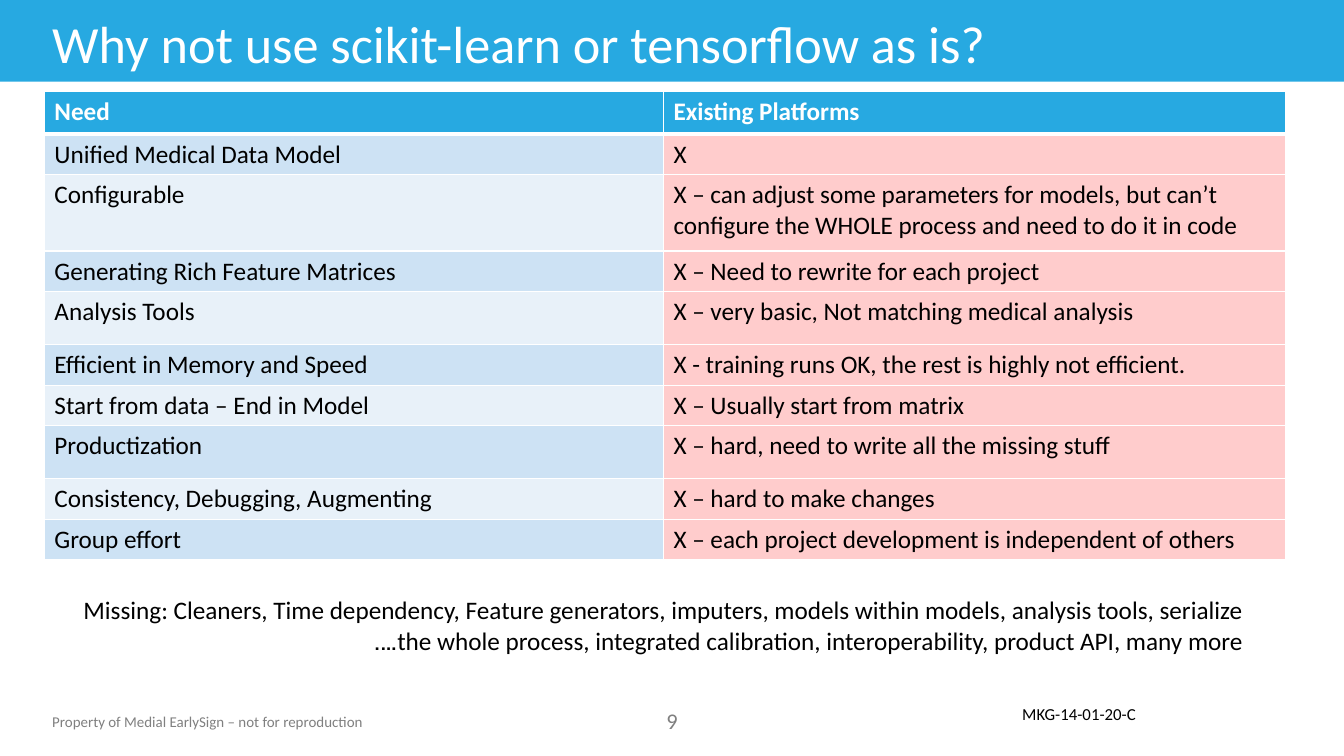
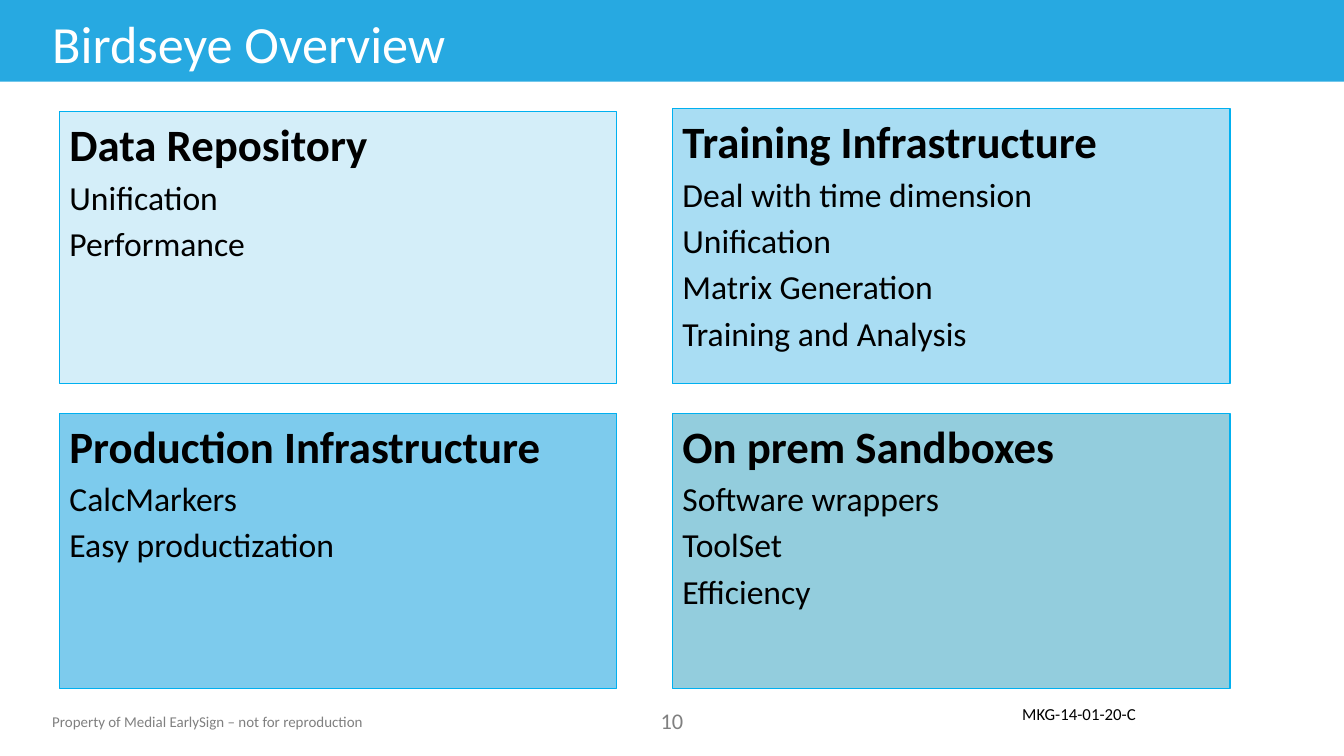
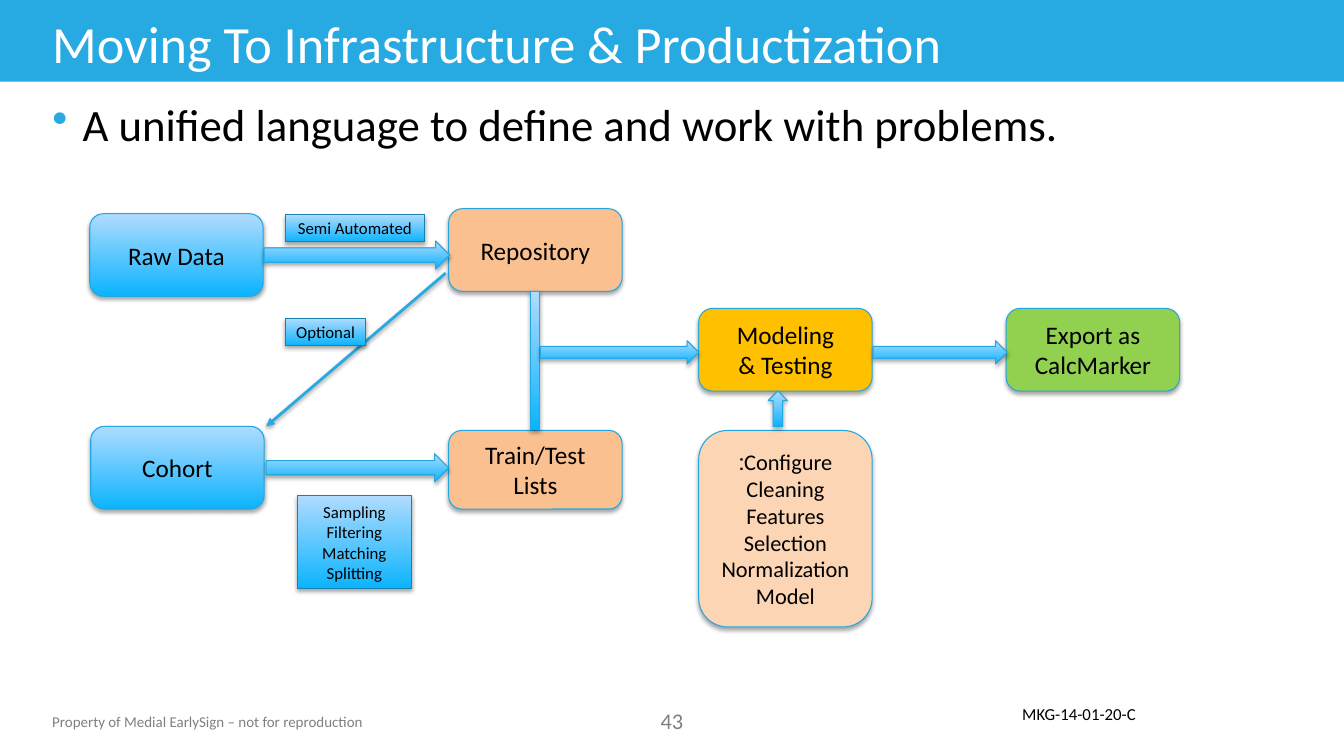
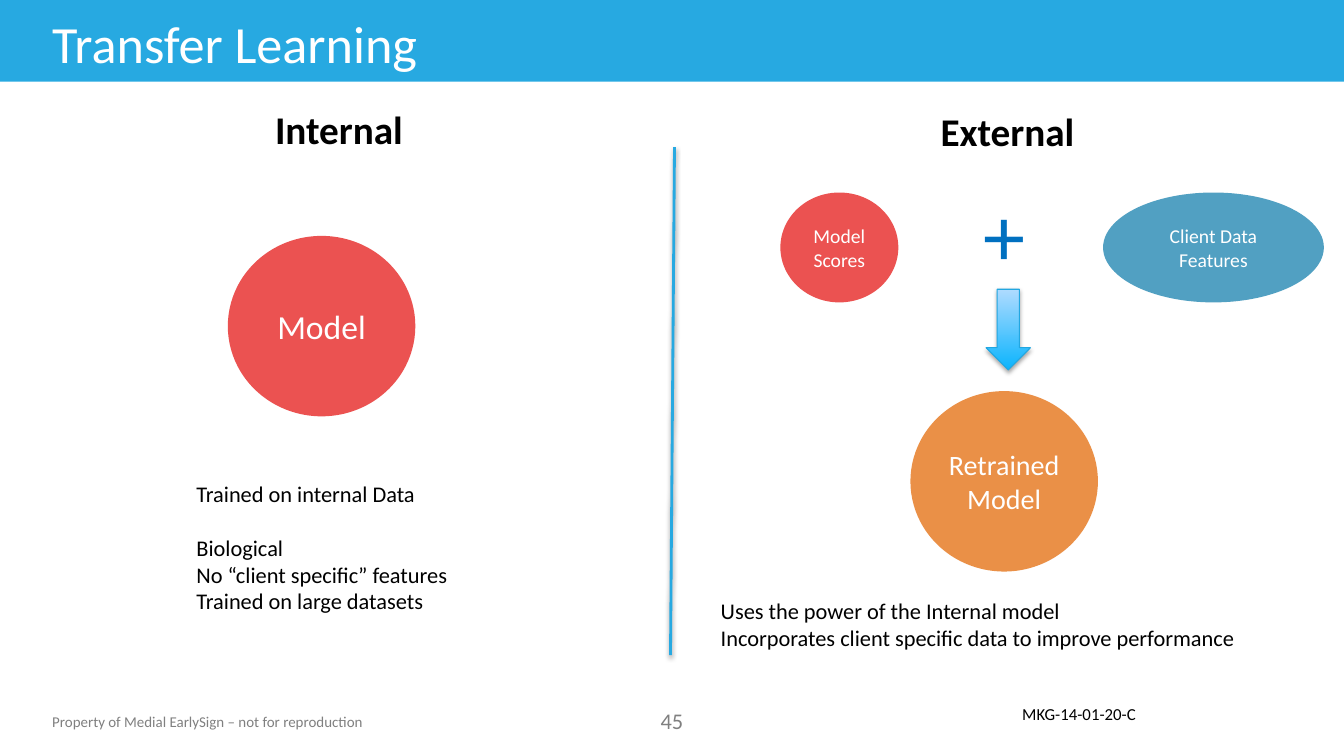
import dataclasses

import lxml.etree
import pptx
import pptx.dml.color
import pptx.enum.shapes
import pptx.enum.text
import pptx.oxml.ns
import pptx.util

Inches = pptx.util.Inches
Pt = pptx.util.Pt
qn = pptx.oxml.ns.qn
SHAPE = pptx.enum.shapes.MSO_SHAPE
ALIGN = pptx.enum.text.PP_ALIGN
ANCHOR = pptx.enum.text.MSO_ANCHOR


@dataclasses.dataclass(frozen=True)
class Theme:
    font: str = "Calibri"
    # Colours
    accent: str = "27A9E1"
    outline: str = "22A7E1"
    label_outline: str = "1881AE"
    card_outline: str = "00B0F0"
    white: str = "FFFFFF"
    black: str = "000000"
    grey: str = "808080"
    gradient: tuple = ("0BB4FD", "AFDBFF")
    row_fills: tuple = ("CDE2F4", "E8F1F9")
    card_fills: tuple = ("A9DDF3", "D4EEF9", "7DCBED", "93CDDD")
    problem: str = "FF0000"
    data: str = "FAC090"
    modeling: str = "FFC000"
    settings: str = "FCD5B5"
    export: str = "92D050"
    model: str = "E51917"
    client: str = "1881AE"
    retrained: str = "E46C0A"
    plus: str = "0070C0"
    # Type sizes
    title: float = 37.3
    heading: float = 32
    subheading: float = 28
    large: float = 24
    medium: float = 20
    body: float = 18
    note: float = 16
    small: float = 14
    label: float = 12
    footer: float = 10.7
    symbol: float = 60


THEME = Theme()


def rgb(value):
    return pptx.dml.color.RGBColor.from_string(value)


def add_xml(parent, tag, **attributes):
    child = lxml.etree.SubElement(parent, qn(tag))
    for name, value in attributes.items():
        child.set(name, str(value))
    return child


def set_alpha(properties, percent):
    color = properties.find(qn("a:solidFill")).find(qn("a:srgbClr"))
    add_xml(color, "a:alpha", val=percent * 1000)


def set_right_to_left(paragraph):
    paragraph._p.get_or_add_pPr().set("rtl", "1")


class DeckBuilder:
    def __init__(self, theme):
        self.theme = theme
        self.deck = pptx.Presentation()
        self.deck.slide_width = Inches(13.33)
        self.deck.slide_height = Inches(7.5)
        self.page = None

    def new_page(self, title, number):
        """Start a slide with its title band and footer."""
        theme = self.theme
        self.page = self.deck.slides.add_slide(self.deck.slide_layouts[6])
        self.shape(SHAPE.RECTANGLE, (0, -0.01, 13.33, 0.82), theme.accent)
        self.text((0.42, 7.02, 3.33, 0.28), "Property of Medial EarlySign – not for reproduction",
                  theme.footer, theme.grey)
        self.text((6.26, 6.97, 0.81, 0.37), str(number), theme.note, theme.grey, align=ALIGN.CENTER)
        self.text((10.04, 6.93, 1.38, 0.3), "MKG-14-01-20-C", theme.label)
        self.text((0.42, 0.06, 11.1, 0.73), title, theme.title, theme.white, anchor=ANCHOR.MIDDLE)

    def set_text(self, frame, text, size, color=None, bold=False, align=ALIGN.LEFT):
        frame.text = text
        frame.word_wrap = True
        for paragraph in frame.paragraphs:
            paragraph.alignment = align
            for span in paragraph.runs:
                self.style(span.font, size, color, bold)

    def style(self, font, size, color=None, bold=False):
        font.name = self.theme.font
        font.size = Pt(size)
        font.bold = bold
        font.color.rgb = rgb(color or self.theme.black)

    def text(self, at, text, size, color=None, bold=False, align=ALIGN.LEFT, anchor=ANCHOR.TOP):
        box = self.page.shapes.add_textbox(*map(Inches, at))
        self.set_text(box.text_frame, text, size, color, bold, align)
        box.text_frame.vertical_anchor = anchor
        return box

    def bullet(self, at, text, size):
        box = self.text(at, text, size)
        properties = box.text_frame.paragraphs[0]._p.get_or_add_pPr()
        properties.set("marL", str(Inches(0.3)))
        properties.set("indent", str(Inches(-0.3)))
        add_xml(add_xml(properties, "a:buClr"), "a:srgbClr", val=self.theme.accent)
        add_xml(properties, "a:buChar", char="•")

    def shape(self, kind, at, fill=None, line=None, shadow=False):
        """Add a preset shape; without a fill colour it takes the theme gradient."""
        shape = self.page.shapes.add_shape(kind, *map(Inches, at))
        shape.shadow.inherit = False
        if fill:
            shape.fill.solid()
            shape.fill.fore_color.rgb = rgb(fill)
        else:
            shape.fill.gradient()
            shape.fill.gradient_angle = 90
            for stop, color in zip(shape.fill.gradient_stops, self.theme.gradient):
                stop.color.rgb = rgb(color)
        if line:
            shape.line.color.rgb = rgb(line)
            shape.line.width = Pt(0.75)
        else:
            shape.line.fill.background()
        if shadow:
            self.shadow(shape._element.spPr.find(qn("a:effectLst")), 1.8, 35)
        return shape

    def shadow(self, effects, distance, alpha):
        outer = add_xml(effects, "a:outerShdw", blurRad=Pt(3.1), dist=Pt(distance),
                        dir=5400000, rotWithShape=0)
        color = add_xml(outer, "a:srgbClr", val=self.theme.black)
        add_xml(color, "a:alpha", val=alpha * 1000)

    def node(self, at, text, fill=None, size=None):
        node = self.shape(SHAPE.ROUNDED_RECTANGLE, at, fill, self.theme.outline, shadow=True)
        self.set_text(node.text_frame, text, size or self.theme.body, align=ALIGN.CENTER)
        return node

    def label(self, at, text):
        label = self.shape(SHAPE.RECTANGLE, at, None, self.theme.label_outline, shadow=True)
        frame = label.text_frame
        frame.margin_left = frame.margin_right = Inches(0.05)
        self.set_text(frame, text, self.theme.label, align=ALIGN.CENTER)

    def arrow(self, kind, at):
        self.shape(kind, at, None, self.theme.outline, shadow=True)

    def circle(self, at, text, fill, size):
        circle = self.shape(SHAPE.OVAL, at, fill)
        set_alpha(circle._element.spPr, 75)
        self.set_text(circle.text_frame, text, size, self.theme.white, align=ALIGN.CENTER)

    def line(self, start, end, arrow=False):
        line = self.page.shapes.add_connector(
            pptx.enum.shapes.MSO_CONNECTOR.STRAIGHT, *map(Inches, start + end))
        line.line.color.rgb = rgb(self.theme.accent)
        line.line.width = Pt(2)
        properties = line._element.spPr
        if arrow:
            add_xml(properties.find(qn("a:ln")), "a:tailEnd", type="triangle")
        self.shadow(add_xml(properties, "a:effectLst"), 1.6, 38)

    def card(self, at, heading, items, fill):
        card = self.shape(SHAPE.RECTANGLE, at, fill, self.theme.card_outline)
        frame = card.text_frame
        frame.vertical_anchor = ANCHOR.TOP
        self.set_text(frame, "\n".join([heading, *items]), self.theme.large)
        self.style(frame.paragraphs[0].runs[0].font, self.theme.heading, bold=True)
        for paragraph in frame.paragraphs[1:]:
            paragraph.space_before = Pt(4.3)

    def cell(self, cell, text, fill, color, bold, top=1, bottom=1):
        self.set_text(cell.text_frame, text, self.theme.body, color, bold)
        cell.fill.solid()
        cell.fill.fore_color.rgb = rgb(fill)
        properties = cell._tc.get_or_add_tcPr()
        if fill == self.theme.problem:
            set_alpha(properties, 20)
        # Borders come before the fill
        widths = {"a:lnL": 1, "a:lnR": 1, "a:lnT": top, "a:lnB": bottom}
        for index, (tag, width) in enumerate(widths.items()):
            border = add_xml(properties, tag, w=Pt(width))
            add_xml(add_xml(border, "a:solidFill"), "a:srgbClr", val=self.theme.white)
            properties.insert(index, border)

    def table(self, at, widths, heights, rows):
        theme = self.theme
        table = self.page.shapes.add_table(len(rows), len(widths), *map(Inches, at)).table
        for column, width in zip(table.columns, widths):
            column.width = Inches(width)
        for index, (height, texts) in enumerate(zip(heights, rows)):
            table.rows[index].height = Inches(height)
            header = index == 0
            fills = (theme.accent,) * 2 if header else (theme.row_fills[(index - 1) % 2], theme.problem)
            for column, (text, fill) in enumerate(zip(texts, fills)):
                self.cell(table.cell(index, column), text, fill,
                          theme.white if header else theme.black, header,
                          top=3 if index == 1 else 1, bottom=3 if header else 1)


def platforms_page(deck):
    deck.new_page("Why not use scikit-learn or tensorflow as is?", 9)
    rows = [
        ("Need", "Existing Platforms"),
        ("Unified Medical Data Model", "X"),
        ("Configurable", "X – can adjust some parameters for models, but can’t configure "
                         "the WHOLE process and need to do it in code"),
        ("Generating Rich Feature Matrices", "X – Need to rewrite for each project"),
        ("Analysis Tools", "X – very basic, Not matching medical analysis"),
        ("Efficient in Memory and Speed", "X - training runs OK, the rest is highly not efficient."),
        ("Start from data – End in Model", "X – Usually start from matrix"),
        ("Productization", "X – hard, need to write all the missing stuff"),
        ("Consistency, Debugging, Augmenting", "X – hard to make changes"),
        ("Group effort", "X – each project development is independent of others"),
    ]
    heights = [0.42, 0.4, 0.76, 0.4, 0.53, 0.4, 0.4, 0.53, 0.4, 0.4]
    deck.table((0.44, 0.91, 12.31, 4.71), (6.14, 6.17), heights, rows)
    missing = deck.text(
        (0.44, 5.85, 11.99, 0.71),
        "Missing: Cleaners, Time dependency, Feature generators, imputers, models within models, "
        "analysis tools, serialize the whole process, integrated calibration, interoperability, "
        "product API, many more….", THEME.body, align=ALIGN.RIGHT)
    # The alignment of a right-to-left paragraph is mirrored
    set_right_to_left(missing.text_frame.paragraphs[0])


def overview_page(deck):
    deck.new_page("Birdseye Overview", 10)
    left, right, width = 0.59, 6.67, 5.53
    cards = [
        ((right, 1.08, width, 2.73), "Training Infrastructure",
         ["Deal with time dimension", "Unification", "Matrix Generation", "Training and Analysis"]),
        ((left, 1.11, width, 2.7), "Data Repository", ["Unification", "Performance"]),
        ((left, 4.1, width, 2.73), "Production Infrastructure",
         ["CalcMarkers", "Easy productization"]),
        ((right, 4.1, width, 2.73), "On prem Sandboxes",
         ["Software wrappers", "ToolSet", "Efficiency"]),
    ]
    for (at, heading, items), fill in zip(cards, THEME.card_fills):
        deck.card(at, heading, items, fill)


def pipeline_page(deck):
    deck.new_page("Moving To Infrastructure & Productization", 43)
    deck.bullet((0.42, 0.91, 11.81, 0.79), "A unified language to define and work with problems.",
                THEME.heading)
    width, height = 1.72, 0.82
    # Sources and data sets
    deck.node((0.89, 2.12, width, height), "Raw Data")
    deck.node((4.45, 2.07, width, height), "Repository", THEME.data)
    deck.node((0.9, 4.23, width, height), "Cohort")
    deck.line((4.42, 2.71), (2.64, 4.23), arrow=True)
    deck.node((4.45, 4.27, width, 0.78), "Train/Test Lists", THEME.data)
    deck.label((2.83, 2.13, 1.38, 0.27), "Semi Automated")
    deck.label((2.83, 3.16, 0.8, 0.27), "Optional")
    deck.label((2.95, 4.92, 1.13, 0.92), "Sampling\nFiltering\nMatching\nSplitting")
    deck.arrow(SHAPE.RIGHT_ARROW, (2.62, 2.39, 1.84, 0.28))
    deck.arrow(SHAPE.RIGHT_ARROW, (2.64, 4.5, 1.81, 0.28))
    # Modeling and export
    deck.node((6.93, 3.06, width, height), "Modeling\n& Testing", THEME.modeling)
    deck.arrow(SHAPE.RECTANGLE, (5.26, 2.89, 0.09, 1.37))
    deck.arrow(SHAPE.RIGHT_ARROW, (5.36, 3.38, 1.57, 0.23))
    settings = deck.node((6.93, 4.27, width, 1.95),
                         "Configure:\nCleaning\nFeatures\nSelection\nNormalization\nModel",
                         THEME.settings, THEME.note)
    set_right_to_left(settings.text_frame.paragraphs[0])
    deck.arrow(SHAPE.UP_ARROW, (7.62, 3.88, 0.19, 0.35))
    deck.node((9.98, 3.06, width, height), "Export as CalcMarker", THEME.export)
    deck.arrow(SHAPE.RIGHT_ARROW, (8.66, 3.38, 1.33, 0.23))


def transfer_page(deck):
    deck.new_page("Transfer Learning", 45)
    deck.line((6.69, 1.46), (6.65, 6.5))
    # Internal side
    deck.text((2.63, 1, 1.49, 0.57), "Internal", THEME.subheading, bold=True)
    deck.circle((2.26, 2.34, 1.86, 1.79), "Model", THEME.model, THEME.large)
    traits = deck.text((1.85, 4.71, 3.13, 1.48),
                       "Trained on internal Data\nBiological\nNo “client specific” features\n"
                       "Trained on large datasets", THEME.note)
    traits.text_frame.paragraphs[1].space_before = Pt(19.5)
    # External side
    deck.text((9.23, 1.02, 1.55, 0.57), "External", THEME.subheading, bold=True)
    deck.text((7.05, 5.88, 5.36, 0.64),
              "Uses the power of the Internal model\n"
              "Incorporates client specific data to improve performance", THEME.note)
    deck.circle((7.74, 1.91, 1.17, 1.09), "Model\nScores", THEME.model, THEME.small)
    deck.text((9.66, 1.76, 0.61, 1.11), "+", THEME.symbol, THEME.plus)
    deck.circle((10.94, 1.91, 2.19, 1.09), "Client Data\nFeatures", THEME.client, THEME.small)
    deck.arrow(SHAPE.DOWN_ARROW, (9.78, 2.87, 0.44, 0.8))
    deck.circle((9.03, 3.88, 1.86, 1.79), "Retrained\nModel", THEME.retrained, THEME.medium)


def main():
    builder = DeckBuilder(THEME)
    for build_page in (platforms_page, overview_page, pipeline_page, transfer_page):
        build_page(builder)
    builder.deck.save("out.pptx")


if __name__ == "__main__":
    main()
